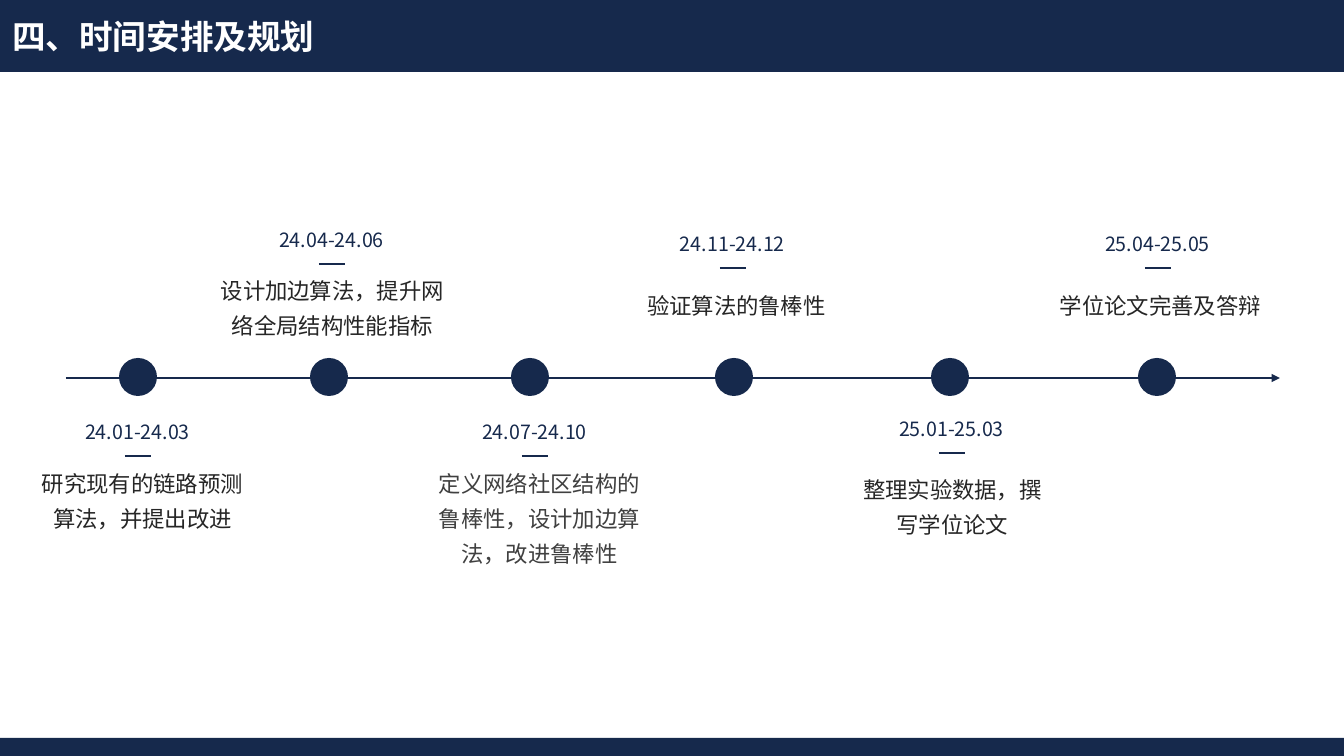
from dataclasses import dataclass

from lxml.etree import SubElement
from pptx import Presentation
from pptx.dml.color import RGBColor
from pptx.enum.shapes import MSO_CONNECTOR, MSO_SHAPE
from pptx.enum.text import MSO_ANCHOR, MSO_AUTO_SIZE as AutoSize, PP_ALIGN as Align
from pptx.oxml.ns import qn
from pptx.util import Pt

EMU_PER_PX = 914400 / 100.8
SLIDE_W, SLIDE_H = 1344, 756
AXIS_Y, DOT_TOP, DOT_SIZE = 378, 358, 38
DATE_W, DATE_H, DATE_RISE = 141, 34, 41
DASH_W = 26
TASK_LINE_H, TASK_PAD = 35, 7


@dataclass(frozen=True)
class Theme:
    navy: str = "16294C"
    white: str = "FFFFFF"
    ink: str = "262626"
    grey: str = "404040"
    cjk: str = "Noto Sans CJK SC"
    latin: str = "Arial"
    title_size: int = 24
    task_size: int = 16
    date_size: int = 14


THEME = Theme()


@dataclass(frozen=True)
class Milestone:
    dates: str
    task: str
    dot_x: int  # centre of the dot
    dash_x: int  # centre of the dash
    dash_y: int
    task_left: int
    task_top: int
    task_w: int
    lines: int
    color: str = THEME.ink
    font: str = THEME.latin


MILESTONES = [
    Milestone("24.01-24.03", "研究现有的链路预测算法，并提出改进",
              138, 138, 456, 31, 457, 223, 2),
    Milestone("24.04-24.06", "设计加边算法，提升网络全局结构性能指标",
              329, 332, 264, 208, 264, 249, 2),
    Milestone("24.07-24.10", "定义网络社区结构的鲁棒性，设计加边算法，改进鲁棒性",
              530, 535, 456, 428, 457, 223, 3, THEME.grey, THEME.cjk),
    Milestone("24.11-24.12", "验证算法的鲁棒性",
              734, 733, 268, 618, 279, 237, 1),
    Milestone("25.01-25.03", "整理实验数据，撰写学位论文",
              950, 952, 453, 848, 463, 209, 2),
    Milestone("25.04-25.05", "学位论文完善及答辩",
              1157, 1158, 268, 1042, 279, 237, 1),
]


def px(length: int) -> int:
    return round(length * EMU_PER_PX)


def write(shape, text: str, *, size: int, color: str, font: str = THEME.cjk,
          bold: bool = False, align=Align.CENTER, spacing: float = 1.0,
          before: int = 0, wrap: bool = True) -> None:
    frame = shape.text_frame
    frame.word_wrap = wrap
    frame.auto_size = AutoSize.SHAPE_TO_FIT_TEXT
    frame.vertical_anchor = MSO_ANCHOR.TOP
    paragraph = frame.paragraphs[0]
    paragraph.alignment = align
    paragraph.line_spacing = spacing
    paragraph.space_before = Pt(before)
    run = paragraph.add_run()
    run.text = text
    run.font.size = Pt(size)
    run.font.bold = bold
    run.font.name = font
    run.font.color.rgb = RGBColor.from_string(color)
    # East Asian characters take their own typeface entry
    SubElement(run.font._element, qn("a:ea"), typeface=font)


def add_solid(slide, kind, left: int, top: int, width: int, height: int) -> None:
    solid = slide.shapes.add_shape(kind, px(left), px(top), px(width), px(height))
    solid.shadow.inherit = False
    solid.fill.solid()
    solid.fill.fore_color.rgb = RGBColor.from_string(THEME.navy)
    solid.line.fill.background()


def add_rule(slide, x1: int, x2: int, y: int, weight: float, arrow: bool = False) -> None:
    rule = slide.shapes.add_connector(MSO_CONNECTOR.STRAIGHT, px(x1), px(y), px(x2), px(y))
    rule.line.color.rgb = RGBColor.from_string(THEME.navy)
    rule.line.width = Pt(weight)
    if arrow:
        SubElement(rule.line._get_or_add_ln(), qn("a:tailEnd"), type="triangle")
    SubElement(rule.element.spPr, qn("a:effectLst"))


def add_label(slide, left: int, top: int, width: int, height: int, text: str, **style) -> None:
    label = slide.shapes.add_textbox(px(left), px(top), px(width), px(height))
    write(label, text, **style)


def add_heading(slide, text: str) -> None:
    heading = slide.shapes.title
    heading.left, heading.top, heading.width, heading.height = map(px, (2, 11, 326, 50))
    write(heading, text, size=THEME.title_size, color=THEME.white, bold=True,
          align=Align.LEFT, wrap=False)
    # Bring the heading in front of the top band
    heading.element.getparent().append(heading.element)


def add_milestone(slide, stop: Milestone) -> None:
    add_solid(slide, MSO_SHAPE.OVAL, stop.dot_x - DOT_SIZE // 2, DOT_TOP, DOT_SIZE, DOT_SIZE)
    add_label(slide, stop.task_left, stop.task_top, stop.task_w,
              TASK_PAD + TASK_LINE_H * stop.lines, stop.task,
              size=THEME.task_size, color=stop.color, font=stop.font,
              spacing=1.3, before=6)
    dash_left = stop.dash_x - DASH_W // 2
    add_rule(slide, dash_left, dash_left + DASH_W, stop.dash_y, 1.5)
    add_label(slide, stop.dash_x - 1 - DATE_W // 2, stop.dash_y - DATE_RISE, DATE_W, DATE_H,
              stop.dates, size=THEME.date_size, color=THEME.navy)


def main() -> None:
    deck = Presentation()
    deck.slide_width, deck.slide_height = px(SLIDE_W), px(SLIDE_H)
    slide = deck.slides.add_slide(deck.slide_layouts[5])

    # Bands and heading
    for top, height in ((0, 72), (738, 18)):
        add_solid(slide, MSO_SHAPE.RECTANGLE, 0, top, SLIDE_W, height)
    add_heading(slide, "四、时间安排及规划")

    # Timeline
    add_rule(slide, 66, 1280, AXIS_Y, 1, arrow=True)
    for stop in MILESTONES:
        add_milestone(slide, stop)

    deck.save("out.pptx")


if __name__ == "__main__":
    main()
